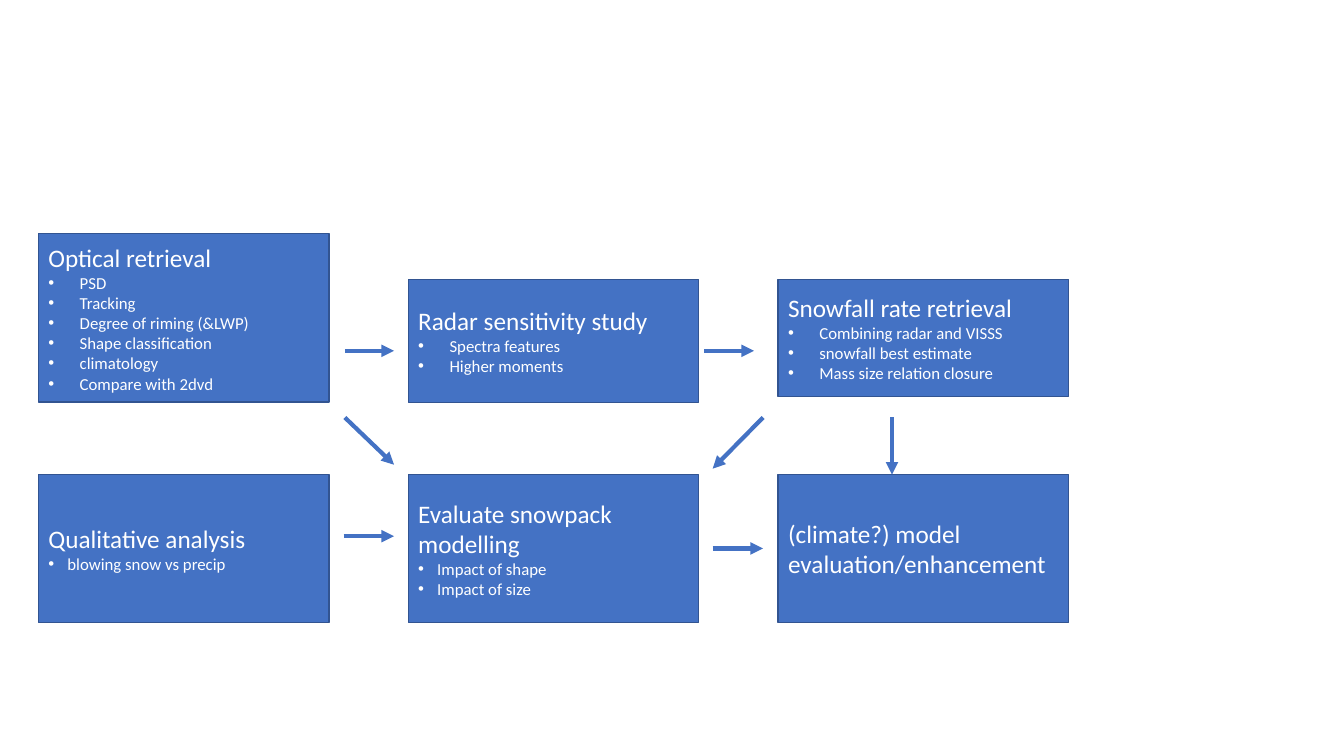
from lxml import etree
from pptx import Presentation
from pptx.dml.color import RGBColor
from pptx.enum.shapes import MSO_CONNECTOR, MSO_SHAPE
from pptx.enum.text import MSO_ANCHOR, PP_ALIGN
from pptx.oxml.ns import qn
from pptx.util import Cm, Pt

RECTANGLE = MSO_SHAPE.RECTANGLE
STRAIGHT = MSO_CONNECTOR.STRAIGHT
MIDDLE = MSO_ANCHOR.MIDDLE
LEFT = PP_ALIGN.LEFT

COLORS = {"step": "4472C4", "border": "325491", "text": "FFFFFF"}
FONT = "Calibri"


def write_paragraph(paragraph, text, size=12, color="text", indent=0):
    paragraph.alignment = LEFT
    if indent:
        properties = paragraph._p.get_or_add_pPr()
        properties.set("marL", str(Cm(indent)))
        properties.set("indent", str(-Cm(indent)))
        etree.SubElement(properties, qn("a:buFont"), typeface="Arial")
        etree.SubElement(properties, qn("a:buChar"), char="•")
    run = paragraph.add_run()
    run.text = text
    run.font.name = FONT
    run.font.size = Pt(size)
    run.font.color.rgb = RGBColor.from_string(COLORS[color])


presentation = Presentation()
presentation.slide_width = Cm(33.87)
presentation.slide_height = Cm(19.05)
slide = presentation.slides.add_slide(presentation.slide_layouts[6])

FIRST_LEFT, COLUMN_STEP, STEP_WIDTH = 0.97, 9.32, 7.32
LOWER_TOP, LOWER_HEIGHT = 11.96, 3.73
WIDE_INDENT, NARROW_INDENT = 0.79, 0.48

work_steps = [
    (0, 5.89, 4.24, "Optical retrieval", WIDE_INDENT,
     ["PSD", "Tracking", "Degree of riming (&LWP)", "Shape classification",
      "climatology", "Compare with 2dvd"]),
    (0, LOWER_TOP, LOWER_HEIGHT, "Qualitative analysis", NARROW_INDENT,
     ["blowing snow vs precip"]),
    (1, 7.04, 3.1, "Radar sensitivity study", WIDE_INDENT,
     ["Spectra features", "Higher moments"]),
    (2, 7.04, 2.95, "Snowfall rate retrieval", WIDE_INDENT,
     ["Combining radar and VISSS", "snowfall best estimate",
      "Mass size relation closure"]),
    (1, LOWER_TOP, LOWER_HEIGHT, "Evaluate snowpack modelling", NARROW_INDENT,
     ["Impact of shape", "Impact of size"]),
    (2, LOWER_TOP, LOWER_HEIGHT, "(climate?) model evaluation/enhancement",
     NARROW_INDENT, []),
]

for column, top, height, title, indent, topics in work_steps:
    step = slide.shapes.add_shape(
        RECTANGLE, Cm(FIRST_LEFT + column * COLUMN_STEP), Cm(top),
        Cm(STEP_WIDTH), Cm(height))
    step.shadow.inherit = False
    step.fill.solid()
    step.fill.fore_color.rgb = RGBColor.from_string(COLORS["step"])
    step.line.color.rgb = RGBColor.from_string(COLORS["border"])
    step.line.width = Pt(1)
    content = step.text_frame
    content.word_wrap = True
    content.vertical_anchor = MIDDLE
    write_paragraph(content.paragraphs[0], title, size=18)
    for topic in topics:
        write_paragraph(content.add_paragraph(), topic, indent=indent)

flows = [
    (8.69, 8.84, 9.93, 8.84),
    (17.75, 8.84, 19.0, 8.84),
    (22.48, 10.52, 22.48, LOWER_TOP),
    (8.69, 10.52, 9.93, 11.71),
    (8.66, 13.51, 9.93, 13.51),
    (17.96, 13.82, 19.23, 13.82),
    (19.23, 10.52, 17.96, 11.81),
]

for ends in flows:
    flow = slide.shapes.add_connector(STRAIGHT, *[Cm(value) for value in ends])
    flow.line.color.rgb = RGBColor.from_string(COLORS["step"])
    flow.line.width = Pt(3)
    etree.SubElement(flow.line._get_or_add_ln(), qn("a:tailEnd"), type="triangle")
    etree.SubElement(flow._element.spPr, qn("a:effectLst"))

presentation.save("out.pptx")
